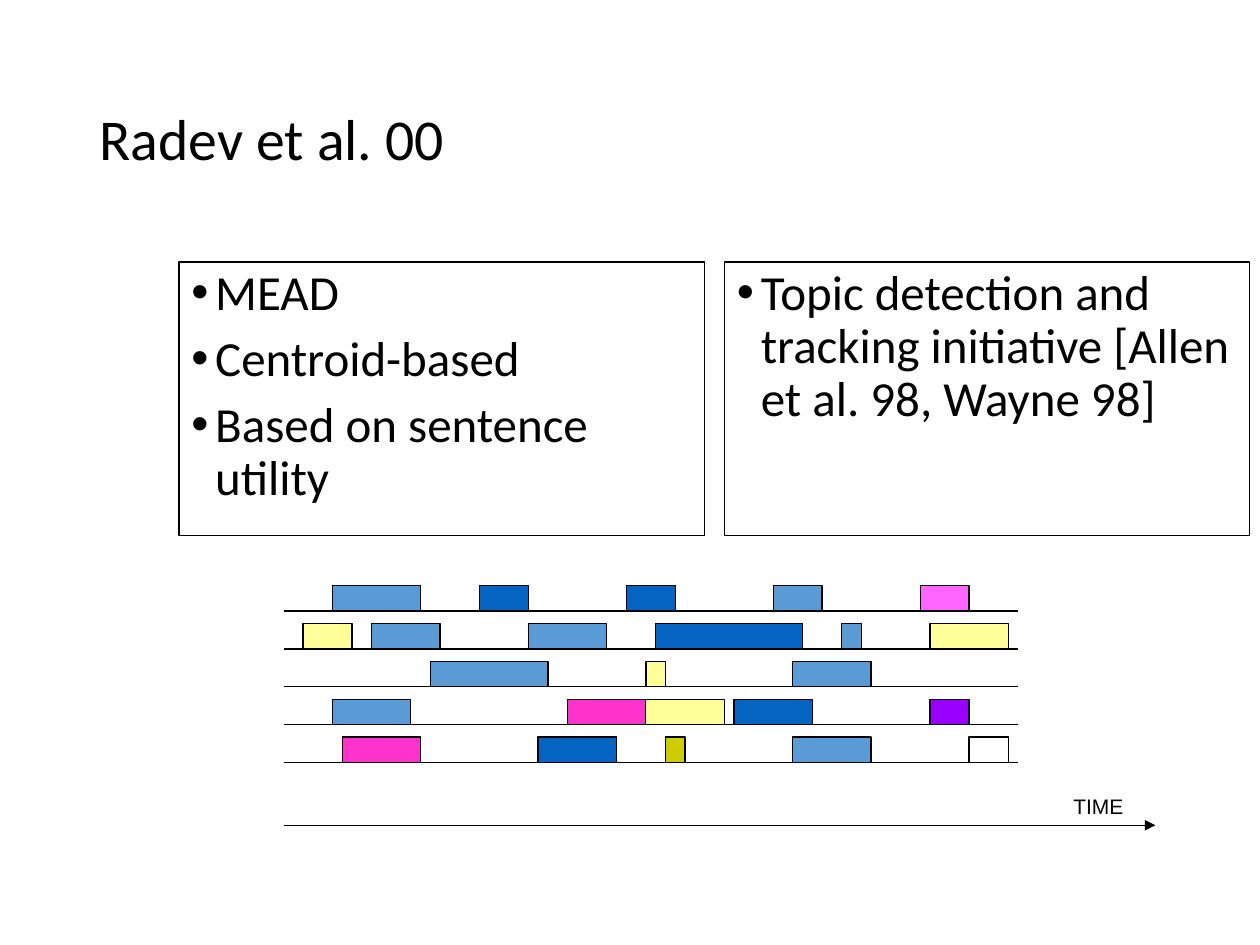
from lxml import etree
from pptx import Presentation
from pptx import util as u
from pptx.dml import color
from pptx.enum import shapes, text
from pptx.oxml import ns

PX = 9144
BLACK = "000000"
SKY, BLUE, YELLOW = "5B9BD5", "0563C1", "FFFF99"
PINK, MAGENTA, PURPLE, OLIVE = "FF66FF", "FF33CC", "9900FF", "CCCC00"
LEFT, RIGHT, FIRST_LINE, PITCH, BAR_H = 225, 808, 485, 30, 20
UNIT = (RIGHT - LEFT) / 75

TIMELINES = [
    [(5, 9, SKY), (20, 5, BLUE), (35, 5, BLUE), (50, 5, SKY), (65, 5, PINK)],
    [(2, 5, YELLOW), (9, 7, SKY), (25, 8, SKY), (38, 15, BLUE), (57, 2, SKY),
     (66, 8, YELLOW)],
    [(15, 12, SKY), (37, 2, YELLOW), (52, 8, SKY)],
    [(5, 8, SKY), (29, 8, MAGENTA), (37, 8, YELLOW), (46, 8, BLUE),
     (66, 4, PURPLE)],
    [(6, 8, MAGENTA), (26, 8, BLUE), (39, 2, OLIVE), (52, 8, SKY),
     (70, 4, None)],
]


def px(*values):
    return [u.Emu(round(v * PX)) for v in values]


def rgb(value):
    return color.RGBColor.from_string(value)


def outline(line):
    line.color.rgb = rgb(BLACK)
    line.width = u.Pt(0.75)


def style(p, size, font):
    for r in p.runs:
        r.font.size = u.Pt(size)
        r.font.name = font
        r.font.color.rgb = rgb(BLACK)


def add_title(s, title):
    sp = s.shapes.title
    sp.left, sp.top, sp.width, sp.height = px(69, 40, 862, 145)
    tf = sp.text_frame
    tf.text = title
    tf.auto_size = text.MSO_AUTO_SIZE.NONE
    tf.vertical_anchor = text.MSO_ANCHOR.MIDDLE
    p = tf.paragraphs[0]
    p.alignment = text.PP_ALIGN.LEFT
    p.line_spacing = 0.9
    style(p, 33, "Calibri")


def add_bullet(p):
    pPr = p._p.get_or_add_pPr()
    indent = px(19)[0]
    pPr.set("marL", str(indent))
    pPr.set("indent", str(-indent))
    etree.SubElement(pPr, ns.qn("a:buFont")).set("typeface", "Arial")
    etree.SubElement(pPr, ns.qn("a:buChar")).set("char", "•")


def add_bullet_box(s, left, items):
    sp = s.shapes.add_textbox(*px(left, 208, 417, 217))
    outline(sp.line)
    tf = sp.text_frame
    tf.word_wrap = True
    tf.text = "\n".join(items)
    for p in tf.paragraphs:
        p.line_spacing = 0.9
        p.space_before = u.Pt(7.5)
        add_bullet(p)
        style(p, 28, "Calibri")


def add_line(group, right, y, arrow=False):
    c = group.shapes.add_connector(
        shapes.MSO_CONNECTOR.STRAIGHT, *px(LEFT, y, right, y))
    outline(c.line)
    if arrow:
        ln = c.line._get_or_add_ln()
        etree.SubElement(ln, ns.qn("a:tailEnd")).set("type", "triangle")
    etree.SubElement(c._element.spPr, ns.qn("a:effectLst"))


def add_bar(group, start, length, y, fill):
    sp = group.shapes.add_shape(
        shapes.MSO_SHAPE.RECTANGLE,
        *px(LEFT + start * UNIT, y - BAR_H, length * UNIT, BAR_H))
    sp.shadow.inherit = False
    outline(sp.line)
    if fill:
        sp.fill.solid()
        sp.fill.fore_color.rgb = rgb(fill)
    else:
        sp.fill.background()


def add_label(group, label):
    sp = group.shapes.add_textbox(*px(842, 625, 83, 30))
    tf = sp.text_frame
    tf.word_wrap = True
    tf.text = label
    style(tf.paragraphs[0], 12, "Arial")


def add_timelines(s):
    group = s.shapes.add_group_shape()
    for row, bars in enumerate(TIMELINES):
        y = FIRST_LINE + row * PITCH
        add_line(group, RIGHT, y)
        for start, length, fill in bars:
            add_bar(group, start, length, y, fill)
    add_line(group, 917, 655, arrow=True)
    add_label(group, "TIME")


def main():
    prs = Presentation()
    prs.slide_width, prs.slide_height = px(1000, 750)
    s = prs.slides.add_slide(prs.slide_layouts[5])
    add_title(s, "Radev et al. 00")
    add_bullet_box(s, 142, ["MEAD", "Centroid-based",
                            "Based on sentence utility"])
    add_bullet_box(s, 575, ["Topic detection and tracking initiative "
                            "[Allen et al. 98, Wayne 98]"])
    add_timelines(s)
    prs.save("out.pptx")


if __name__ == "__main__":
    main()
